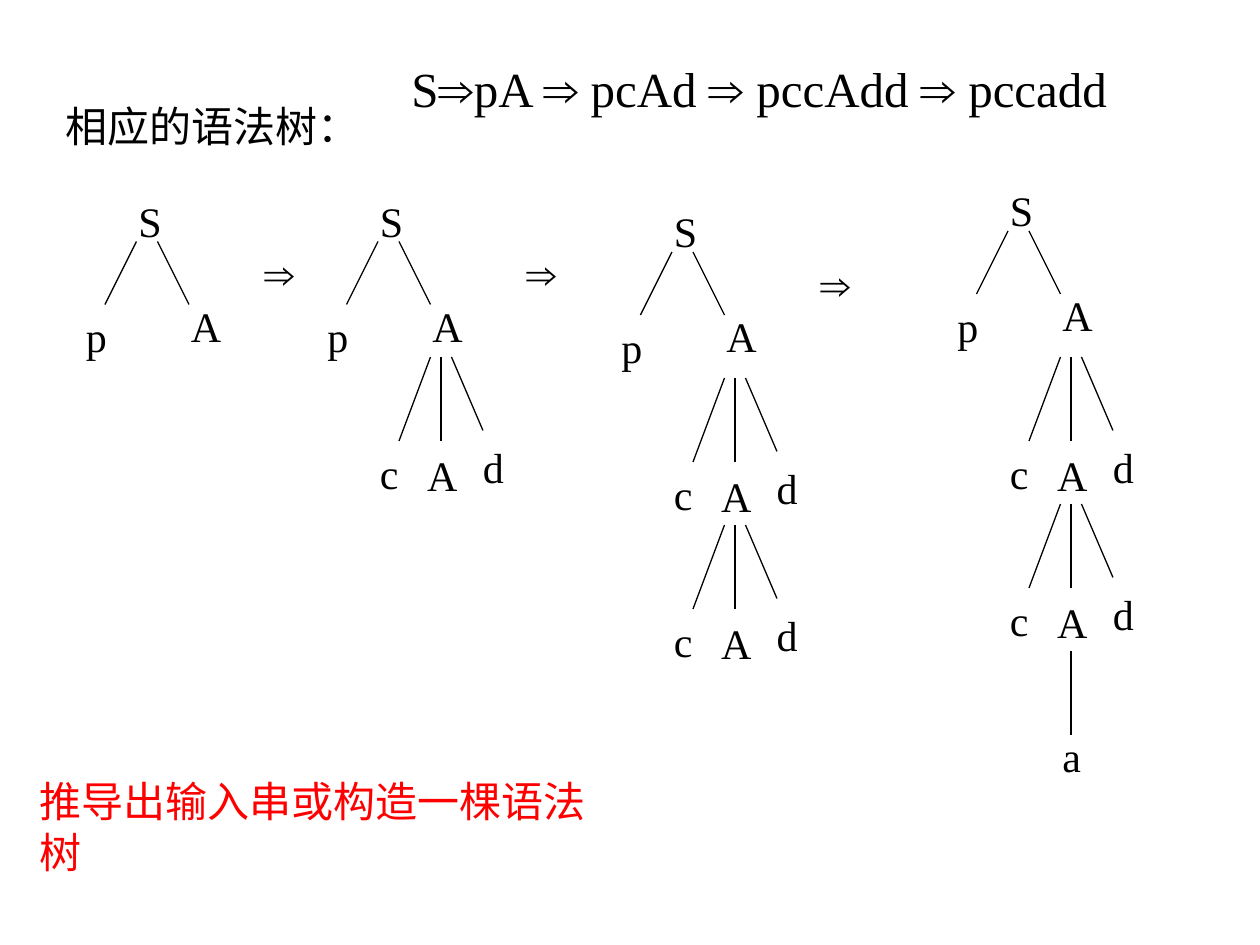
"""Build a slide of four syntax trees that follow a derivation step by step."""
from itertools import groupby

from lxml import etree
from pptx import Presentation
from pptx import util as u
from pptx.dml.color import RGBColor
from pptx.enum import shapes, text
from pptx.oxml.ns import qn

COLOURS = {"ink": "000000", "accent": "FF0000"}
ARROW = "⇒"

deck = Presentation()
deck.slide_width, deck.slide_height = u.Inches(10), u.Inches(7.5)
CELL = deck.slide_width / 120
page = deck.slides.add_slide(deck.slide_layouts[5])


def write(words, box, place, size=24, font="Times New Roman", colour="ink", wrap=True):
    box.left, box.top, box.width, box.height = (round(n * CELL) for n in place)
    frame = box.text_frame
    frame.word_wrap = wrap
    frame.auto_size = text.MSO_AUTO_SIZE.SHAPE_TO_FIT_TEXT
    frame.vertical_anchor = text.MSO_ANCHOR.TOP
    para = frame.paragraphs[0]
    para.alignment = text.PP_ALIGN.LEFT
    para.space_before = u.Pt(0)
    for is_arrow, letters in groupby(words, lambda letter: letter == ARROW):
        span = para.add_run()
        span.text = "".join(letters)
        span.font.name = "Arial" if is_arrow else font
        span.font.size = u.Pt(size)
        span.font.color.rgb = RGBColor.from_string(COLOURS[colour])


def draw_branch(parent, *ends):
    branch = parent.add_connector(
        shapes.MSO_CONNECTOR.STRAIGHT, *(round(n * CELL) for n in ends))
    branch.line.color.rgb = RGBColor.from_string(COLOURS["ink"])
    branch.line.width = u.Pt(0.75)
    etree.SubElement(branch._element.spPr, qn("a:effectLst"))


write("相应的语法树：", page.shapes.title, (5, 9, 50, 6))

root_branches = [(1, 5, -2, 11), (3, 5, 6, 11)]
root_labels = [("S", 0, 0, 6), ("p", -5, 11, 6), ("A", 5, 10, 5)]
fan_branches = [(0, 0, 0, 8), (-1, 0, -4, 8), (1, 0, 4, 7)]
fan_labels = [("c", -7, 8, 4), ("d", 2.8, 7.5, 5), ("A", -2.5, 8.25, 5)]
trees = [(12, 18, []), (35, 18, [34]), (63, 19, [36, 50]), (95, 17, [34, 48])]

for left, top, fan_tops in trees:
    tree = page.shapes.add_group_shape().shapes
    parts = [(left, top, root_branches, root_labels)]
    parts += [(left + 7, fan_top, fan_branches, fan_labels) for fan_top in fan_tops]
    for x, y, branches, labels in parts:
        for x1, y1, x2, y2 in branches:
            draw_branch(tree, x + x1, y + y1, x + x2, y + y2)
        for symbol, dx, dy, width in labels:
            write(symbol, tree.add_textbox(0, 0, 0, 0), (x + dx, y + dy, width, 6))

draw_branch(page.shapes, 102, 62, 102, 70)

notes = [
    ("a", (100, 69, 6, 6), {}),
    (ARROW, (24, 23, 7, 6), {}),
    (ARROW, (49, 23, 7, 6), {}),
    (ARROW, (77, 24, 7, 6), {}),
    ("S⇒pA ⇒ pcAd ⇒ pccAdd ⇒ pccadd", (38, 5, 77, 6.8), {"size": 28}),
    ("推导出输入串或构造一棵语法树", (2.6, 73.3, 58.3, 6),
     {"font": "Montserrat", "colour": "accent", "wrap": False}),
]
for words, place, style in notes:
    write(words, page.shapes.add_textbox(0, 0, 0, 0), place, **style)

deck.save("out.pptx")
